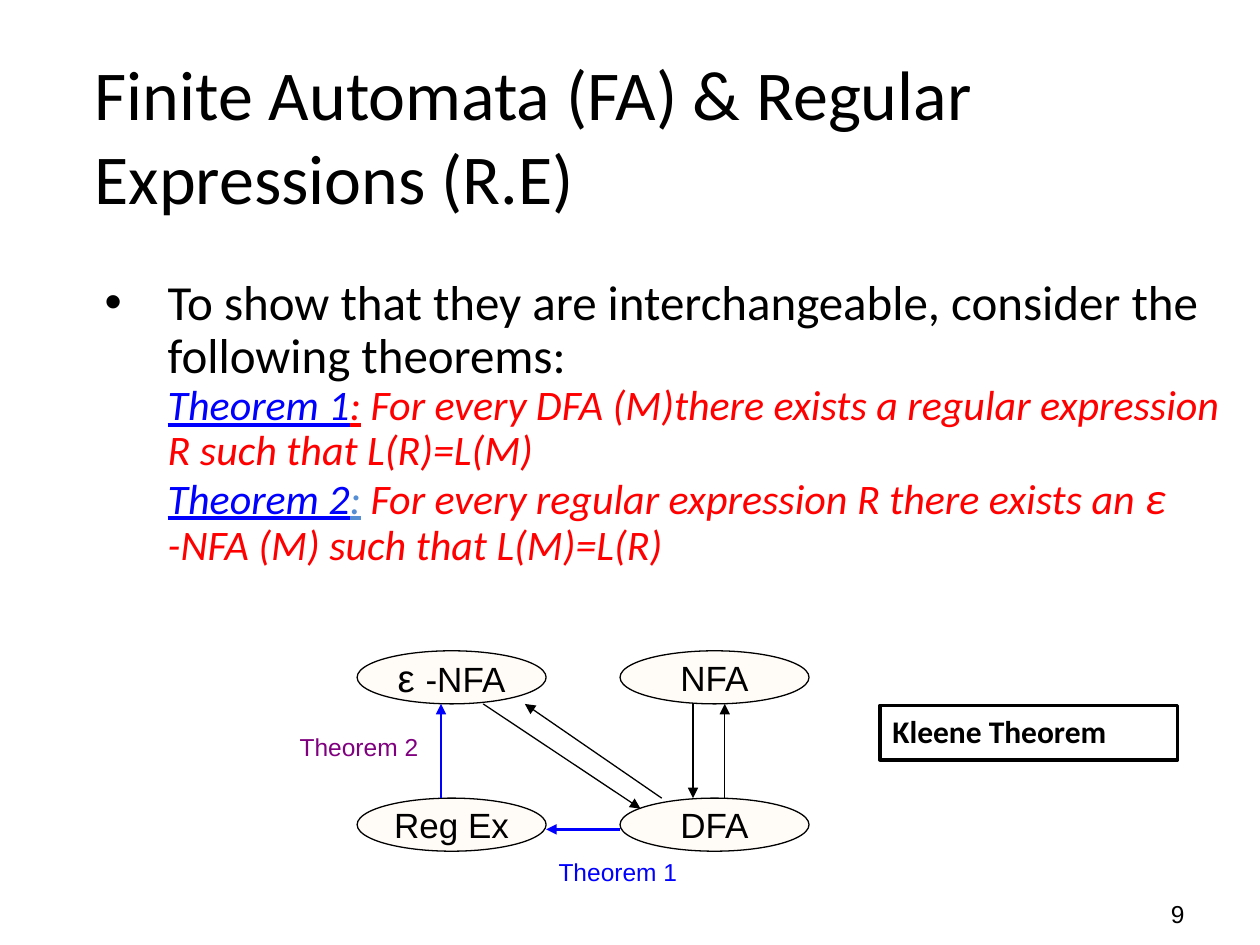
from lxml import etree
from pptx import Presentation
from pptx.dml.color import RGBColor
from pptx.enum.shapes import MSO_CONNECTOR, MSO_SHAPE
from pptx.enum.text import MSO_ANCHOR, MSO_AUTO_SIZE, PP_ALIGN
from pptx.oxml.ns import qn
from pptx.util import Cm, Pt

OVAL, RECT = MSO_SHAPE.OVAL, MSO_SHAPE.RECTANGLE
LINE = MSO_CONNECTOR.STRAIGHT
TOP, MID, LOW = MSO_ANCHOR.TOP, MSO_ANCHOR.MIDDLE, MSO_ANCHOR.BOTTOM
LEFT, MIDST, RIGHT = PP_ALIGN.LEFT, PP_ALIGN.CENTER, PP_ALIGN.RIGHT
FIXED = MSO_AUTO_SIZE.NONE

BLACK, WHITE, PEACH = "000000", "FFFFFF", "FFCC99"
BLUE, RED, SKY, PLUM = "0000FF", "FF0000", "558ED5", "800080"


def color(code):
    return RGBColor.from_string(code)


class Deck:
    head, body = "Calibri", "Arial"

    def __init__(self):
        self.prs = Presentation()
        self.prs.slide_width, self.prs.slide_height = Cm(25.4), Cm(19.05)
        self.slide = self.prs.slides.add_slide(self.prs.slide_layouts[1])
        self.shapes = self.slide.shapes

    def run(self, para, text, size, code=BLACK, font=None, **marks):
        run = para.add_run()
        run.text = text
        run.font.name, run.font.size = font or self.body, Pt(size)
        run.font.color.rgb = color(code)
        for name, value in marks.items():
            setattr(run.font, name, value)

    def place(self, hold, box, anchor):
        hold.left, hold.top, hold.width, hold.height = map(Cm, box)
        frame = hold.text_frame
        frame.margin_left = frame.margin_right = 0
        frame.margin_top = frame.margin_bottom = 0
        frame.auto_size, frame.vertical_anchor = FIXED, anchor
        return frame

    def title(self, text, box):
        para = self.place(self.shapes.title, box, MID).paragraphs[0]
        para.alignment = LEFT
        self.run(para, text, 40, font=self.head)

    def items(self, rows, box):
        frame = self.place(self.slide.placeholders[1], box, TOP)
        for num, (level, runs) in enumerate(rows):
            para = frame.add_paragraph() if num else frame.paragraphs[0]
            para.level, para.line_spacing = level, 0.9
            para.space_before = Pt(0)
            props = para._p.get_or_add_pPr()
            props.set("marL", str(Cm(1.27)))
            props.set("indent", str(0 if level else -Cm(1.27)))
            if level:
                etree.SubElement(props, qn("a:buNone"))
            else:
                etree.SubElement(props, qn("a:buChar")).set("char", "•")
            for text, size, code, marks in runs:
                self.run(para, text, size, code, self.head, **marks)

    def shape(self, kind, box, fill, width):
        shape = self.shapes.add_shape(kind, *map(Cm, box))
        shape.shadow.inherit = False
        shape.fill.solid()
        shape.fill.fore_color.rgb = color(fill)
        shape.line.color.rgb, shape.line.width = color(BLACK), Pt(width)
        shape.text_frame.word_wrap = False
        return shape

    def state(self, box, runs):
        oval = self.shape(OVAL, box, PEACH, 0.75)
        tint = oval.fill._xPr.find(".//" + qn("a:srgbClr"))
        etree.SubElement(tint, qn("a:alpha")).set("val", "8000")
        oval.text_frame.vertical_anchor = MID
        para = oval.text_frame.paragraphs[0]
        para.alignment = MIDST
        for text, size in runs:
            self.run(para, text, size)

    def frame(self, text, box):
        rect = self.shape(RECT, box, WHITE, 2)
        rect.text_frame.vertical_anchor = TOP
        para = rect.text_frame.paragraphs[0]
        para.alignment = LEFT
        self.run(para, text, 18, font=self.head, bold=True)

    def label(self, text, box, code=BLACK, align=LEFT, anchor=TOP, wrap=False):
        frame = self.shapes.add_textbox(*map(Cm, box)).text_frame
        frame.word_wrap, frame.vertical_anchor = wrap, anchor
        frame.paragraphs[0].alignment = align
        self.run(frame.paragraphs[0], text, 14, code)

    def arrow(self, start, end, code=BLACK, width=0.75):
        line = self.shapes.add_connector(LINE, *map(Cm, start + end))
        line.line.color.rgb, line.line.width = color(code), Pt(width)
        tail = etree.SubElement(line.line._get_or_add_ln(), qn("a:tailEnd"))
        tail.set("type", "triangle")
        etree.SubElement(line._element.spPr, qn("a:effectLst"))


def main():
    deck = Deck()

    # Title and theorems
    deck.title("Finite Automata (FA) & Regular Expressions (R.E)",
               (1.91, 0.99, 21.84, 3.45))
    lean = {"italic": True}
    under = {"italic": True, "underline": True}
    deck.items([
        (0, [("To show that they are interchangeable, consider the "
              "following theorems:", 28, BLACK, {})]),
        (1, [("Theorem 1", 24, BLUE, under), (":", 24, RED, under),
             (" For every DFA (M)there exists a regular expression R "
              "such that L(R)=L(M)", 24, RED, lean)]),
        (1, [("Theorem 2", 24, BLUE, under), (":", 24, SKY, under),
             (" For every regular expression R there exists an ",
              24, RED, lean),
             ("ε ", 26, RED, lean),
             ("-NFA (M) such that L(M)=L(R)", 24, RED, lean)]),
    ], (2.11, 5.61, 22.76, 7.92))

    # States on a two by two grid
    wide, high = 3.81, 1.07
    cols, rows = (7.2, 12.5), (13.12, 16.09)
    states = [[[("ε ", 22), ("-NFA", 20)], [("NFA", 20)]],
              [[("Reg Ex", 20)], [("DFA", 20)]]]
    for top, line in zip(rows, states):
        for left, runs in zip(cols, line):
            deck.state((left, top, wide, high), runs)

    # Conversions between the states
    upper, lower = rows[0] + high, rows[1]
    deck.arrow((13.97, upper), (13.97, lower))
    deck.arrow((14.61, lower), (14.61, upper))
    deck.arrow((cols[1], 16.72), (cols[0] + wide, 16.72), BLUE, 1.5)
    deck.arrow((8.89, lower), (8.89, upper), BLUE, 1.5)
    deck.arrow((9.74, upper), (12.91, 16.3))
    deck.arrow((13.34, lower), (10.58, upper))

    # Labels
    deck.label("Theorem 2", (5.79, 14.63, 2.9, 0.84), PLUM)
    deck.label("Theorem 1", (11.01, 17.15, 2.9, 0.84), BLUE)
    deck.frame("Kleene Theorem", (17.74, 14.22, 6, 1.1))
    deck.label("9", (18.85, 17.58, 5.28, 1.27), align=RIGHT, anchor=LOW,
               wrap=True)

    deck.prs.save("out.pptx")


if __name__ == "__main__":
    main()
